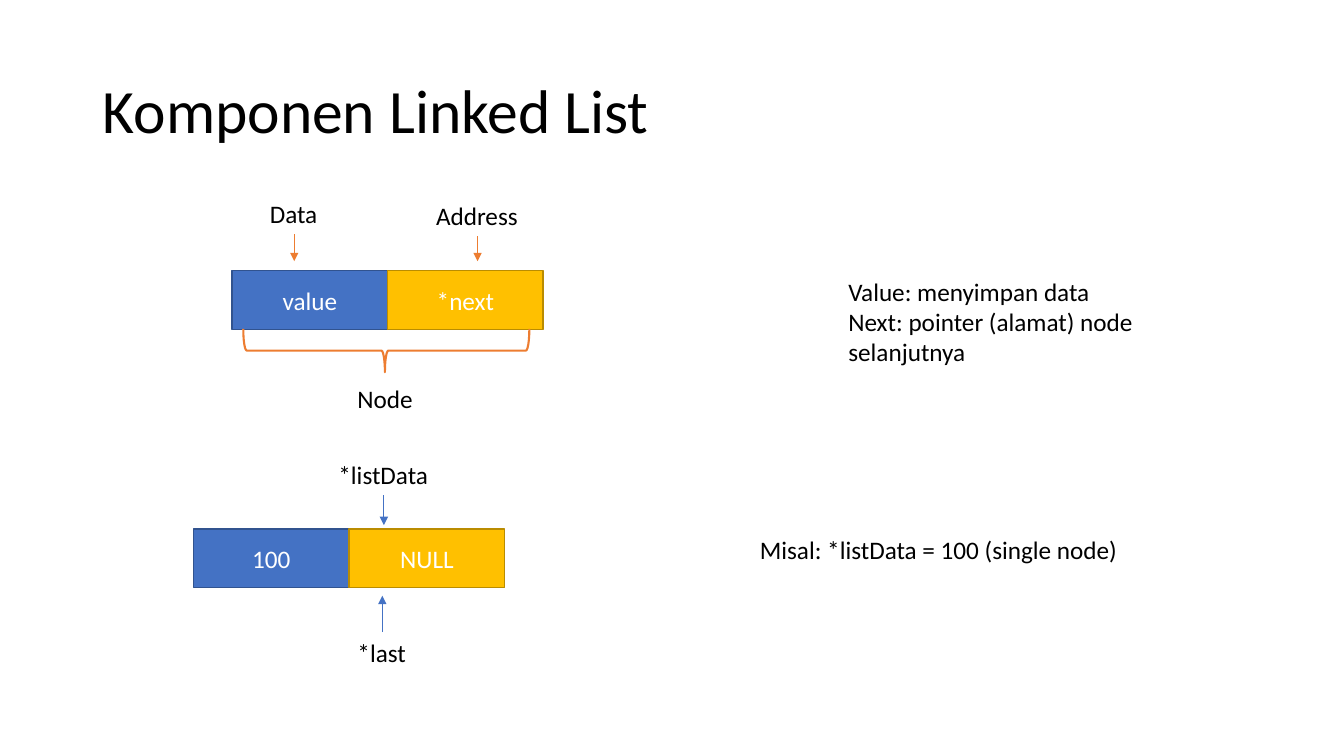
"""Build a slide on the parts of a linked list."""
from lxml.etree import SubElement as Sub
from pptx import Presentation
from pptx.dml.color import RGBColor as RGB
from pptx.enum.shapes import MSO_CONNECTOR as LINE, MSO_SHAPE as SHAPE
from pptx.enum.text import MSO_ANCHOR as ANCHOR, PP_ALIGN as ALIGN
from pptx.oxml.ns import qn
from pptx.util import Cm, Pt

BLACK = RGB(0, 0, 0)
WHITE = RGB(255, 255, 255)
BLUE = RGB(0x44, 0x72, 0xC4)
NAVY = RGB(0x31, 0x53, 0x8F)
GOLD = RGB(0xFF, 0xC0, 0x00)
BROWN = RGB(0xBA, 0x8C, 0x00)
ORANGE = RGB(0xED, 0x7D, 0x31)
CELL_W, CELL_H = 3.92, 1.48

deck = Presentation()
deck.slide_width, deck.slide_height = Cm(33.87), Cm(19.05)
slide = deck.slides.add_slide(deck.slide_layouts[6])
shapes = slide.shapes


def write(shape, text, size=18, color=BLACK, align=ALIGN.LEFT):
    frame = shape.text_frame
    frame.text = text
    for para in frame.paragraphs:
        para.alignment = align
        para.font.name = "Calibri"
        para.font.size = Pt(size)
        para.font.color.rgb = color
    return frame


def label(text, x, y, w, h=1.02, wrap=False):
    box = shapes.add_textbox(Cm(x), Cm(y), Cm(w), Cm(h))
    write(box, text).word_wrap = wrap
    return box


title = shapes.add_textbox(Cm(2.34), Cm(1.02), Cm(29.21), Cm(3.68))
frame = write(title, "Komponen Linked List", 44)
frame.word_wrap = True
frame.vertical_anchor = ANCHOR.MIDDLE
frame.paragraphs[0].line_spacing = 0.9

for x, y, texts in [(5.85, 6.82, ("value", "*next")),
                    (4.88, 13.33, ("100", "NULL"))]:
    for col, (text, fill, edge) in enumerate(
            zip(texts, (BLUE, GOLD), (NAVY, BROWN))):
        cell = shapes.add_shape(SHAPE.RECTANGLE, Cm(x + col * CELL_W), Cm(y),
                                Cm(CELL_W), Cm(CELL_H))
        cell.shadow.inherit = False
        cell.fill.solid()
        cell.fill.fore_color.rgb = fill
        cell.line.color.rgb = edge
        cell.line.width = Pt(1)
        frame = write(cell, text, 18, WHITE, ALIGN.CENTER)
        frame.vertical_anchor = ANCHOR.MIDDLE

brace = shapes.add_shape(SHAPE.RIGHT_BRACE, Cm(9.19), Cm(5.23),
                         Cm(1.09), Cm(7.21))
brace.rotation = 90
brace.adjustments[0] = 0.08
brace.adjustments[1] = 0.505
brace.shadow.inherit = False
brace.fill.background()
brace.line.color.rgb = ORANGE
brace.line.width = Pt(1.5)

label("Node", 8.76, 9.53, 1.93)
label("Value: menyimpan data\nNext: pointer (alamat) node selanjutnya",
      21.13, 6.83, 9.55, 2.57, True)
label("Misal: *listData = 100 (single node)", 18.9, 13.33, 9.63, wrap=True)

for text, x, y, w, site, tip, color, width in [
        ("Data", 6.55, 4.88, 1.73, 2, 6.58, ORANGE, 1),
        ("Address", 10.74, 4.93, 2.59, 2, 6.58, ORANGE, 1),
        ("*listData", 8.28, 11.46, 2.79, 2, 13.23, BLUE, 0.75),
        ("*last", 8.76, 15.93, 1.75, 0, 15.01, BLUE, 0.75)]:
    box = label(text, x, y, w)
    mid = Cm(x + w / 2)
    arrow = shapes.add_connector(LINE.STRAIGHT, mid, Cm(y), mid, Cm(tip))
    arrow.begin_connect(box, site)
    arrow.begin_x = arrow.end_x = mid
    arrow.line.color.rgb = color
    arrow.line.width = Pt(width)
    Sub(arrow.line._get_or_add_ln(), qn("a:tailEnd"), type="triangle")
    Sub(arrow._element.spPr, qn("a:effectLst"))

deck.save("out.pptx")
